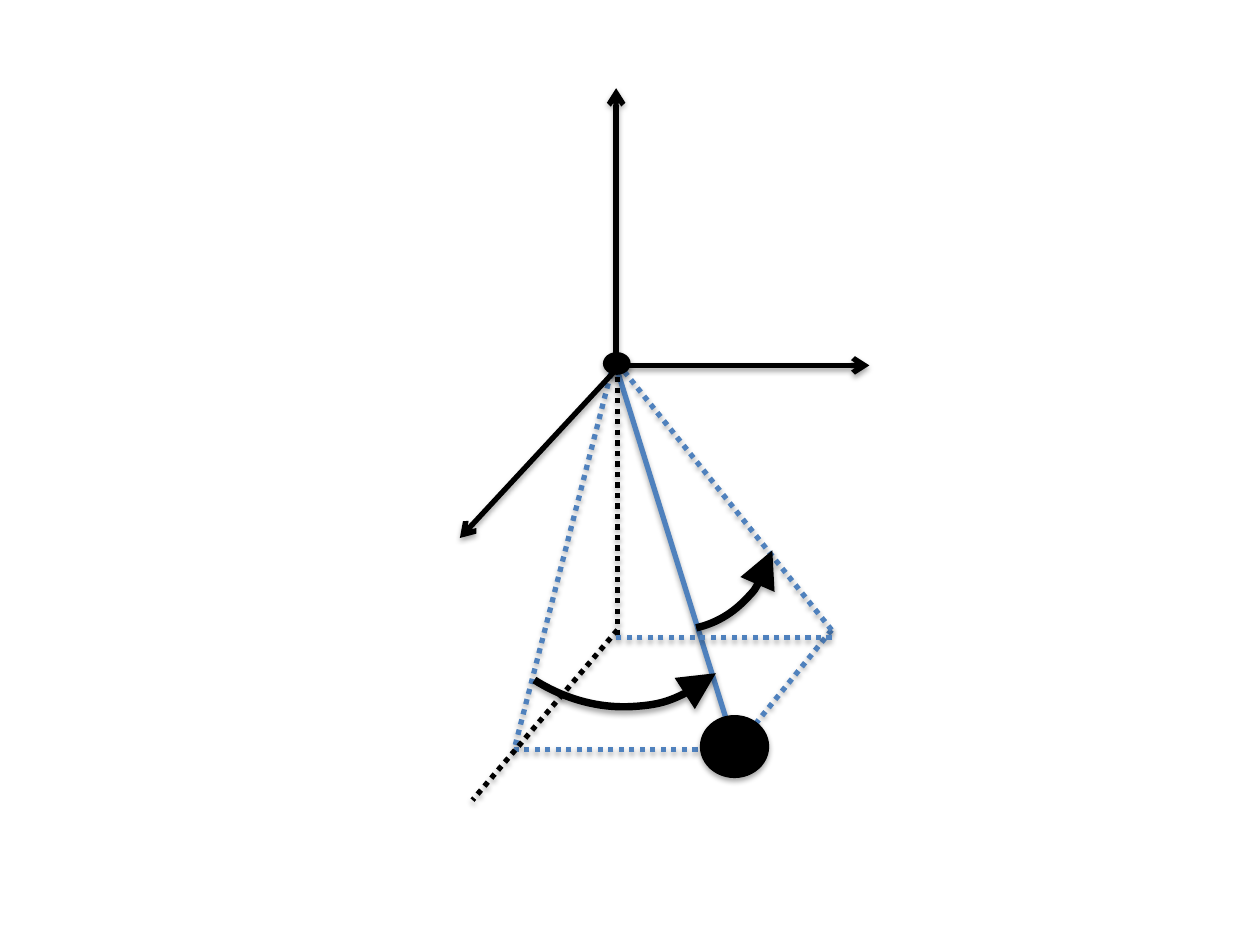
from dataclasses import dataclass

import pptx
import pptx.dml.color
import pptx.enum.dml
import pptx.enum.shapes
import pptx.oxml
import pptx.oxml.ns
import pptx.util

Inches = pptx.util.Inches
Kind = pptx.enum.shapes.MSO_SHAPE
BLACK, BLUE = "000000", "4F81BD"
NS = pptx.oxml.ns.nsdecls("a")
SHADE = (
    f'<a:outerShdw {NS} blurRad="40000" dist="23000" dir="5400000" rotWithShape="0">'
    '<a:srgbClr val="000000"><a:alpha val="35000"/></a:srgbClr></a:outerShdw>'
)


@dataclass
class Line:
    start: tuple[float, float]
    end: tuple[float, float]
    color: str = BLACK
    dotted: bool = False
    arrow: bool = False


@dataclass
class Arc:
    box: tuple[float, float, float, float]
    turn: float
    bounds: tuple[float, float]


@dataclass
class Ball:
    box: tuple[float, float, float, float]


def paint(color, code: str) -> None:
    color.rgb = pptx.dml.color.RGBColor.from_string(code)


def stroke(shape, code: str, width: float) -> None:
    paint(shape.line.color, code)
    shape.line.width = pptx.util.Pt(width)


def tip(shape, tag: str, style: str, size: str) -> None:
    end = f'<a:{tag} {NS} type="{style}" w="{size}" len="{size}"/>'
    shape.line._get_or_add_ln().append(pptx.oxml.parse_xml(end))


def shade(shape) -> None:
    """Give the shape a soft shadow below it."""
    effect = pptx.oxml.parse_xml(f"<a:effectLst {NS}/>")
    effect.append(pptx.oxml.parse_xml(SHADE))
    shape._element.spPr.append(effect)


def draw_line(slide, item: Line) -> None:
    ends = [Inches(n) for n in item.start + item.end]
    line = slide.shapes.add_connector(
        pptx.enum.shapes.MSO_CONNECTOR.STRAIGHT, *ends)
    stroke(line, item.color, 3)
    if item.dotted:
        line.line.dash_style = pptx.enum.dml.MSO_LINE.ROUND_DOT
    if item.arrow:
        tip(line, "tailEnd", "arrow", "med")
    shade(line)


def draw_arc(slide, item: Arc) -> None:
    arc = slide.shapes.add_shape(Kind.ARC, *map(Inches, item.box))
    arc.rotation = item.turn
    arc.adjustments[0], arc.adjustments[1] = item.bounds
    arc.fill.background()
    stroke(arc, BLACK, 4.25)
    tip(arc, "headEnd", "triangle", "lg")
    shade(arc)


def draw_ball(slide, item: Ball) -> None:
    ball = slide.shapes.add_shape(Kind.OVAL, *map(Inches, item.box))
    ball.fill.solid()
    paint(ball.fill.fore_color, BLACK)
    stroke(ball, BLACK, 0.75)
    shade(ball)


# Parts of the pendulum, from back to front
PARTS = [
    # Projections of the weight
    Line((4.89, 2.8), (4.08, 5.95), BLUE, dotted=True),
    Line((5.87, 5.95), (4.08, 5.95), BLUE, dotted=True),
    Line((6.6, 5), (5.83, 5.95), BLUE, dotted=True),
    # Axes
    Line((4.95, 2.9), (6.9, 2.9), arrow=True),
    Line((4.89, 2.91), (4.89, 0.7), arrow=True),
    Line((4.93, 2.89), (3.65, 4.27), arrow=True),
    Line((4.9, 5), (3.75, 6.35), dotted=True),
    # Rod and swing angles
    Line((4.89, 2.91), (5.83, 5.92), BLUE),
    Line((6.6, 5), (4.86, 2.83), BLUE, dotted=True),
    Arc((4.41, 3.26, 1.83, 1.66), 77.4, (181.01, 0)),
    Line((4.9, 2.91), (4.9, 5.06), dotted=True),
    Arc((3.6, 2.94, 2.42, 2.72), 143.8, (159.79, 200.17)),
    # Pivot and weight
    Ball((4.79, 2.8, 0.21, 0.17)),
    Ball((5.56, 5.68, 0.54, 0.49)),
    Line((6.6, 5.06), (4.86, 5.06), BLUE, dotted=True),
]
DRAW = {Line: draw_line, Arc: draw_arc, Ball: draw_ball}


def main() -> None:
    deck = pptx.Presentation()
    deck.slide_width, deck.slide_height = Inches(10), Inches(7.5)
    slide = deck.slides.add_slide(deck.slide_layouts[6])
    for part in PARTS:
        DRAW[type(part)](slide, part)
    deck.save("out.pptx")


if __name__ == "__main__":
    main()
